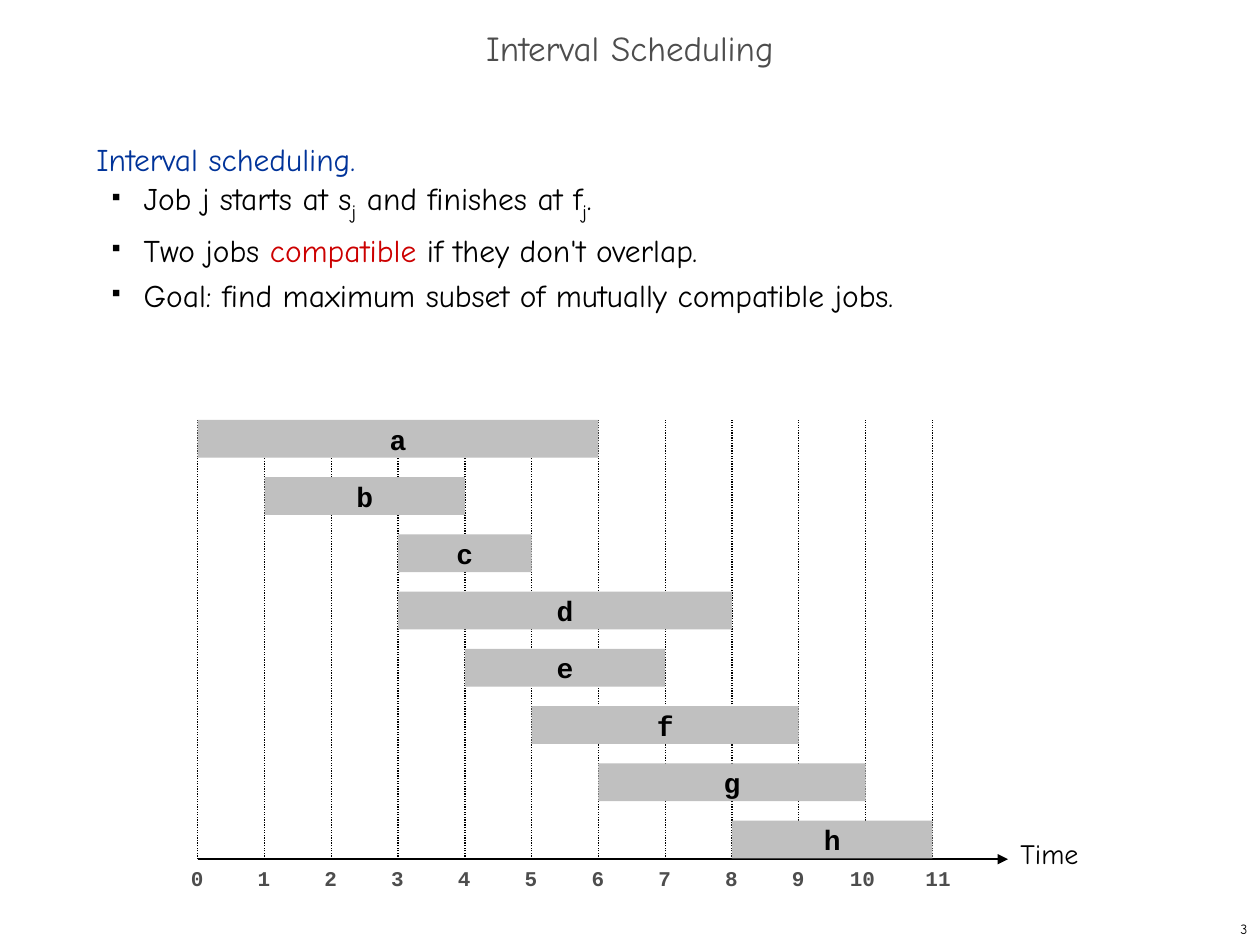
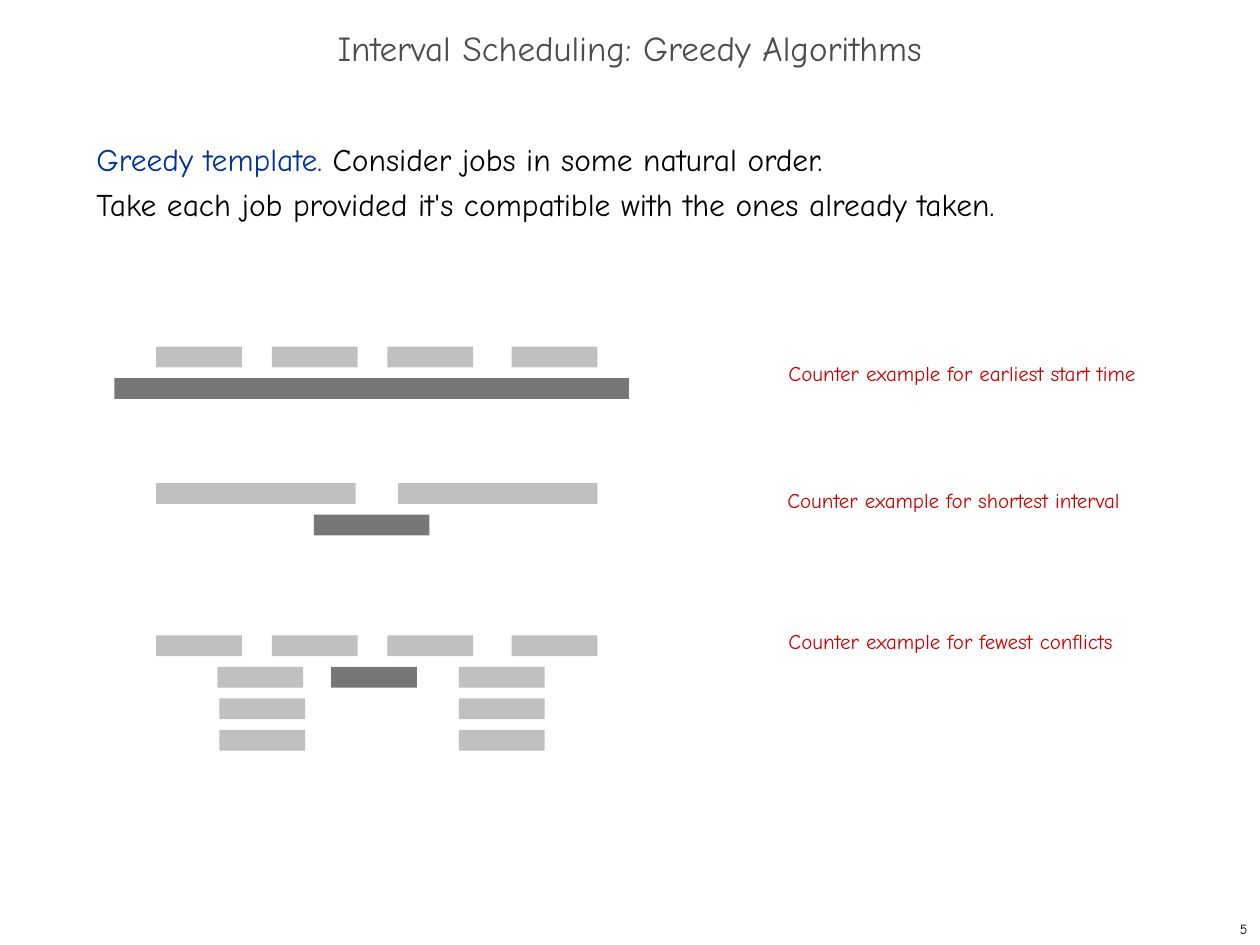
from lxml.etree import SubElement
from pptx import Presentation
from pptx.dml.color import RGBColor
from pptx.enum.dml import MSO_LINE_DASH_STYLE as Dash
from pptx.enum.shapes import MSO_CONNECTOR as Connector, MSO_SHAPE as Shape
from pptx.enum.text import MSO_ANCHOR as Anchor, MSO_AUTO_SIZE as AutoSize, PP_ALIGN as Align
from pptx.oxml.ns import qn
from pptx.util import Pt

COLORS = {
    "ink": "000000", "title": "4D4D4D", "heading": "003399",
    "accent": "CC0000", "job": "C0C0C0", "chosen": "777777",
}
COMIC, COURIER = "Comic Neue", "Courier New"
BODY = {"name": COMIC, "size": Pt(18)}
LABEL = {"name": COMIC, "size": Pt(12)}
TICK = {"name": COURIER, "size": Pt(12), "bold": True}
JOB = {"name": COURIER, "size": Pt(16), "bold": True}


def write(para, text, font, color="ink"):
    span = para.add_run()
    span.text = text
    for key, value in font.items():
        setattr(span.font, key, value)
    span.font.color.rgb = RGBColor.from_string(COLORS[color])
    return span


def add_bar(shapes, left, top, width, height, color):
    bar = shapes.add_shape(Shape.RECTANGLE, Pt(left), Pt(top), Pt(width), Pt(height))
    bar.shadow.inherit = False
    bar.fill.solid()
    bar.fill.fore_color.rgb = RGBColor.from_string(COLORS[color])
    bar.line.fill.background()
    return bar


deck = Presentation()
deck.slide_width, deck.slide_height = Pt(720), Pt(540)

# Titles, page numbers and body boxes
pages, bodies = [], []
for heading, number in [("Interval Scheduling", "3"),
                        ("Interval Scheduling: Greedy Algorithms", "5")]:
    page = deck.slides.add_slide(deck.slide_layouts[5])
    title = page.shapes.title
    for key, value in {"left": 0, "top": Pt(12), "width": Pt(720), "height": Pt(36)}.items():
        setattr(title, key, value)
    for key, value in {"vertical_anchor": Anchor.MIDDLE, "word_wrap": True,
                       "auto_size": AutoSize.NONE}.items():
        setattr(title.text_frame, key, value)
    para = title.text_frame.paragraphs[0]
    para.alignment, para.line_spacing = Align.CENTER, 0.7
    write(para, heading, {"name": COMIC, "size": Pt(20)}, "title")

    footer = page.shapes.add_textbox(Pt(570), Pt(522), Pt(150), Pt(18)).text_frame
    footer.word_wrap, footer.vertical_anchor = True, Anchor.MIDDLE
    footer.paragraphs[0].alignment = Align.RIGHT
    write(footer.paragraphs[0], number, {"name": COMIC, "size": Pt(8)})

    body = page.shapes.add_textbox(Pt(48), Pt(72), Pt(618), Pt(426)).text_frame
    body.word_wrap = True
    body.paragraphs[0].line_spacing = Pt(26)
    pages.append(page)
    bodies.append(body)

# Interval scheduling: definition
write(bodies[0].paragraphs[0], "Interval scheduling.", BODY, "heading")
SUBSCRIPT = {"name": COMIC, "size": Pt(20)}
bullets = [
    [("Job j starts at s", BODY), ("j", SUBSCRIPT), (" and finishes at f", BODY),
     ("j", SUBSCRIPT), (".", BODY)],
    [("Two jobs ", BODY), ("compatible ", BODY, "accent"), ("if they don't overlap.", BODY)],
    [("Goal: find maximum subset of mutually compatible jobs.", BODY)],
]
for spans in bullets:
    para = bodies[0].add_paragraph()
    para.level = 1
    properties = para._p.get_or_add_pPr()
    properties.set("marL", str(Pt(27)))
    properties.set("indent", str(Pt(-18)))
    bullet_color = SubElement(properties, qn("a:buClr"))
    SubElement(bullet_color, qn("a:srgbClr"), val=COLORS["ink"])
    SubElement(properties, qn("a:buSzPct"), val="35000")
    SubElement(properties, qn("a:buChar"), char="■")
    para.line_spacing = Pt(26)
    for text, font, *color in spans:
        span = write(para, text, font, *color)
        if font is SUBSCRIPT:
            span._r.get_or_add_rPr().set("baseline", "-25000")

# Interval scheduling: timeline
shapes = pages[0].shapes
ORIGIN, UNIT, TOP, AXIS = 113, 38.16, 240, 491
ROW_STEP, BAR_HEIGHT = 32.7, 21.6
ticks = [ORIGIN + UNIT * hour for hour in range(12)]
lines = [(ORIGIN, AXIS, 576, AXIS, 1.25)]
lines += [(tick, AXIS, tick, TOP, 0.75) for tick in ticks]
for start_x, start_y, end_x, end_y, weight in lines:
    line = shapes.add_connector(Connector.STRAIGHT, Pt(start_x), Pt(start_y), Pt(end_x), Pt(end_y))
    line.line.width = Pt(weight)
    line.line.color.rgb = RGBColor.from_string(COLORS["ink"])
    if start_y == end_y:
        SubElement(line.line._get_or_add_ln(), qn("a:tailEnd"), type="triangle")
    else:
        line.line.dash_style = Dash.ROUND_DOT
    SubElement(line._element.spPr, qn("a:effectLst"))

axis_labels = [("Time", 576, 474.5, 60, {"name": COMIC, "size": Pt(16)}, "ink")]
for hour, tick in enumerate(ticks):
    shift = {10: 16, 11: 11}.get(hour, 11)
    axis_labels.append((str(hour), tick - shift, AXIS, 33, TICK, "title"))
for text, left, top, width, font, color in axis_labels:
    frame = shapes.add_textbox(Pt(left), Pt(top), Pt(width), Pt(22)).text_frame
    frame.word_wrap = True
    write(frame.paragraphs[0], text, font, color)

jobs = {"a": (0, 6), "b": (1, 4), "c": (3, 5), "d": (3, 8),
        "e": (4, 7), "f": (5, 9), "g": (6, 10), "h": (8, 11)}
for row, (name, (start, finish)) in enumerate(jobs.items()):
    bar = add_bar(shapes, ticks[start], TOP + ROW_STEP * row,
                  UNIT * (finish - start), BAR_HEIGHT, "job")
    bar.text_frame.word_wrap = False
    bar.text_frame.vertical_anchor = Anchor.MIDDLE
    para = bar.text_frame.paragraphs[0]
    para.alignment = Align.CENTER
    write(para, name, JOB)

# Greedy algorithms: template
para = bodies[1].paragraphs[0]
write(para, "Greedy template. ", BODY, "heading")
write(para, "Consider jobs in some natural order.", BODY)
para.add_line_break()
write(para, "Take each job provided it's compatible with the ones already taken.", BODY)

# Greedy algorithms: counter examples, each row a list of (left, width, color)
SHORT = 49
four_jobs = [(left, SHORT, "job") for left in (89.2, 155.4, 221.4, 292.3)]
side_jobs = [(125.4, SHORT, "job"), (262.2, SHORT, "job")]
examples = [
    ("earliest start time", 198, 443.5, 202.3,
     [four_jobs, [(65.4, 294, "chosen")]]),
    ("shortest interval", 276, 442.8, 275,
     [[(89.2, 114, "job"), (227.4, 114, "job")], [(179.4, 66, "chosen")]]),
    ("fewest conflicts", 363, 443.5, 355.7,
     [four_jobs,
      [(124.2, SHORT, "job"), (189.2, SHORT, "chosen"), (262.2, SHORT, "job")],
      side_jobs, side_jobs]),
]
for rule, top, label_left, label_top, rows in examples:
    group = pages[1].shapes.add_group_shape()
    for row, bars in enumerate(rows):
        for left, width, color in bars:
            add_bar(group.shapes, left, top + 18 * row, width, 12, color)
    label = group.shapes.add_textbox(Pt(label_left), Pt(label_top), Pt(216), Pt(22)).text_frame
    label.word_wrap = True
    write(label.paragraphs[0], f"Counter example for {rule}", LABEL, "accent")

deck.save("out.pptx")
